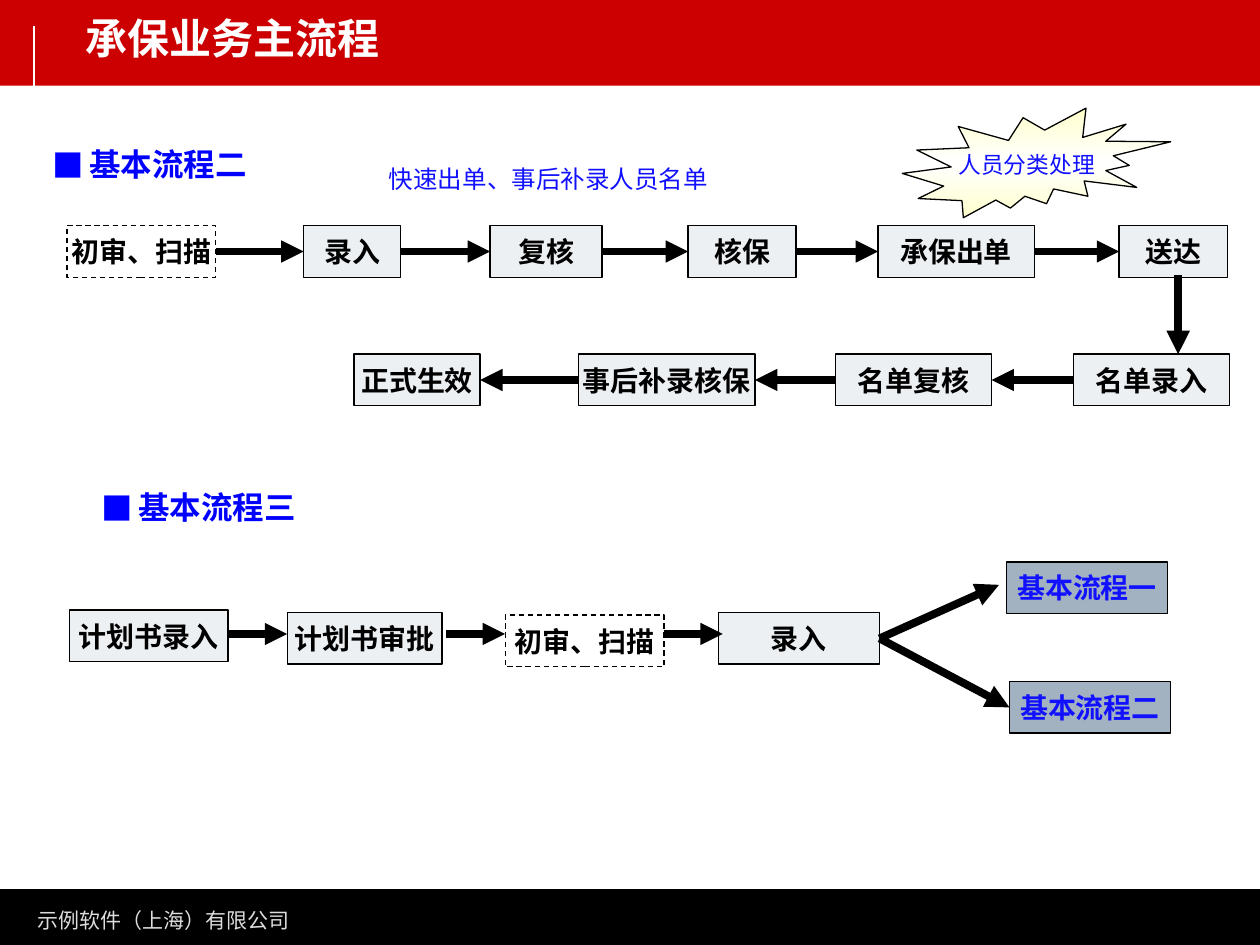
from copy import deepcopy

from lxml import etree
from pptx import Presentation
from pptx.dml.color import RGBColor
from pptx.enum.dml import MSO_LINE
from pptx.enum.shapes import MSO_CONNECTOR, MSO_SHAPE
from pptx.enum.text import MSO_ANCHOR, MSO_AUTO_SIZE, PP_ALIGN
from pptx.oxml.ns import qn
from pptx.util import Cm, Pt

RECT, BURST = MSO_SHAPE.RECTANGLE, MSO_SHAPE.EXPLOSION2
STRAIGHT, DASH = MSO_CONNECTOR.STRAIGHT, MSO_LINE.DASH
LEFT, CENTER = PP_ALIGN.LEFT, PP_ALIGN.CENTER
MIDDLE, NO_FIT = MSO_ANCHOR.MIDDLE, MSO_AUTO_SIZE.NONE
BOTTOM_SIDE, LEFT_SIDE, RIGHT_SIDE = 2, 1, 3
CJK, SANS = "Noto Sans CJK SC", "DejaVu Sans"
BLACK, WHITE, BLUE, LINK_BLUE = "000000", "FFFFFF", "0000FF", "1111FF"
STEP_FILL, LINK_FILL = "EDF0F3", "A3B2C1"
STEP_HEIGHT = 1.04
STEP_FONT = {"name": CJK, "size": Pt(16), "bold": True}


def rgb(value):
    return RGBColor.from_string(value)


def write(shape, text, font, color, align=LEFT, wrap=False):
    frame = shape.text_frame
    settings = {"word_wrap": wrap, "auto_size": NO_FIT, "vertical_anchor": MIDDLE}
    for name, value in settings.items():
        setattr(frame, name, value)
    paragraph = frame.paragraphs[0]
    paragraph.alignment = align
    paragraph.space_before = Pt(0)
    run = paragraph.add_run()
    run.text = text
    for name, value in font.items():
        setattr(run.font, name, value)
    run.font.color.rgb = rgb(color)
    # East Asian text takes its own typeface element
    for latin in list(shape.element.iter(qn("a:latin"))):
        east_asian = etree.Element(qn("a:ea"), typeface=font["name"])
        latin.addnext(east_asian)


def place(shape, box):
    for name, value in zip(("left", "top", "width", "height"), box):
        setattr(shape, name, Cm(value))


def panel(slide, box, fill=None, line=BLACK, kind=RECT):
    shape = slide.shapes.add_shape(kind, *map(Cm, box))
    shape.shadow.inherit = False
    if fill:
        shape.fill.solid()
        shape.fill.fore_color.rgb = rgb(fill)
    else:
        shape.fill.background()
    shape.line.color.rgb = rgb(line)
    shape.line.width = Pt(0.75)
    return shape


def step(slide, left, top, width, text, fill=STEP_FILL, color=BLACK):
    box = panel(slide, (left, top, width, STEP_HEIGHT), fill)
    if fill is None:
        box.line.dash_style = DASH
    write(box, text, STEP_FONT, color, CENTER)
    return box


def rule(slide, start, end, color, width):
    line = slide.shapes.add_connector(STRAIGHT, *map(Cm, start + end))
    line.line.color.rgb = rgb(color)
    line.line.width = Pt(width)
    etree.SubElement(line.element.spPr, qn("a:effectLst"))
    return line


def arrow(slide, start=(0, 0), end=(0, 0), source=None, target=None, width=4.25):
    """Arrow between points; source and target are (box, side) pairs to join."""
    line = rule(slide, start, end, BLACK, width)
    outline = line.element.spPr.find(qn("a:ln"))
    etree.SubElement(outline, qn("a:tailEnd"), type="triangle")
    if source:
        line.begin_connect(*source)
    if target:
        line.end_connect(*target)


def frame_bands(slide, width, height):
    # Red header with its white tick
    header_height, footer_height = 1.73, 1.12
    panel(slide, (0, 0, width, header_height), "CC0000", "CC0000").line.fill.background()
    rule(slide, (0.69, 0.53), (0.69, header_height), WHITE, 1.5)
    # Black footer with the company name
    footer_top = height - footer_height
    panel(slide, (0, footer_top, width, footer_height), BLACK)
    company = slide.shapes.add_textbox(*map(Cm, (0.51, footer_top + 0.23, 5.59, 0.76)))
    write(company, "示例软件（上海）有限公司", {"name": SANS, "size": Pt(12)}, "DDDDDD")


def page_title(slide, box):
    title = slide.shapes.title
    place(title, box)
    write(title, "承保业务主流程", {"name": SANS, "size": Pt(24), "bold": True}, WHITE, wrap=True)
    # Bring the title in front of the header band
    title.element.getparent().append(title.element)


def heading(placeholder, box, text, align=LEFT):
    place(placeholder, box)
    paragraph = placeholder.text_frame.paragraphs[0]
    paragraph.space_before = Pt(0)
    indent = Cm(0.74)
    for properties in placeholder.element.iter(qn("a:pPr")):
        properties.set("marL", str(indent))
        properties.set("indent", str(-indent))
        bullet_color = etree.SubElement(properties, qn("a:buClr"))
        etree.SubElement(bullet_color, qn("a:srgbClr"), val=BLUE)
        etree.SubElement(properties, qn("a:buFont"), typeface=CJK)
        etree.SubElement(properties, qn("a:buChar"), char="■")
    write(placeholder, text, {"name": CJK, "size": Pt(18), "bold": True}, BLUE, align, True)


def remarks(slide, left, top):
    note = slide.shapes.add_textbox(*map(Cm, (left, top + 0.82, 8.2, 1.19)))
    write(note, "快速出单、事后补录人员名单", {"name": CJK, "size": Pt(14)}, LINK_BLUE)
    # Starburst with a pale yellow to white to pale yellow gradient
    burst = panel(slide, (left + 10.6, top, 5.41, 2.21), kind=BURST)
    burst.fill.gradient()
    burst.fill.gradient_angle = 90
    first_stop = next(burst.element.iter(qn("a:gs")))
    first_stop.addnext(deepcopy(first_stop))
    stops = ((0, "FFFFCC"), (0.5, WHITE), (1, "FFFFCC"))
    for stop, (position, color) in zip(burst.fill.gradient_stops, stops):
        stop.position = position
        stop.color.rgb = rgb(color)
    write(burst, "人员分类处理", {"name": CJK, "size": Pt(13)}, LINK_BLUE, CENTER)


def flow_two(slide, left, top):
    row_gap = 2.59
    issue_steps = (("初审、扫描", 0, 3), ("录入", 4.77, 1.96), ("复核", 8.53, 2.26),
                   ("核保", 12.52, 2.18), ("承保出单", 16.35, 3.15), ("送达", 21.21, 2.18))
    list_steps = (("名单录入", 20.29, 3.15), ("名单复核", 15.49, 3.15),
                  ("事后补录核保", 10.31, 3.56), ("正式生效", 5.79, 2.54))
    # Upper row runs to the right, lower row back to the left
    rows = ((issue_steps, top, RIGHT_SIDE, LEFT_SIDE),
            (list_steps, top + row_gap, LEFT_SIDE, RIGHT_SIDE))
    for steps, row_top, exit_side, entry_side in rows:
        boxes = [step(slide, left + x, row_top, width, text,
                      None if text == "初审、扫描" else STEP_FILL)
                 for text, x, width in steps]
        for before, after in zip(boxes, boxes[1:]):
            arrow(slide, source=(before, exit_side), target=(after, entry_side))
    # Turn from the upper row to the lower row
    turn = left + 22.4
    arrow(slide, (turn, top + 0.99), (turn, top + row_gap), width=4.5)


def flow_three(slide, left, top):
    step(slide, left, top + 0.97, 3.2, "计划书录入")
    step(slide, left + 4.39, top + 1.02, 3.12, "计划书审批")
    step(slide, left + 8.79, top + 1.07, 3.2, "初审、扫描", None)
    entry = step(slide, left + 13.08, top + 1.02, 3.25, "录入")
    for index in range(3):
        start = left + 3.2 + 4.39 * index
        arrow(slide, (start, top + 1.45), (start + 1.19, top + 1.45))
    # Fork to the two other flows
    step(slide, left + 18.89, top, 3.25, "基本流程一", LINK_FILL, LINK_BLUE)
    second = step(slide, left + 18.95, top + 2.41, 3.25, "基本流程二", LINK_FILL, LINK_BLUE)
    exit_point = (entry, RIGHT_SIDE)
    arrow(slide, end=(left + 18.74, top + 0.46), source=exit_point, width=4.5)
    arrow(slide, source=exit_point, target=(second, LEFT_SIDE), width=4.5)


def main():
    width, height = 25.4, 19.05
    deck = Presentation()
    deck.slide_width, deck.slide_height = Cm(width), Cm(height)
    slide = deck.slides.add_slide(deck.slide_layouts.get_by_name("Two Content"))
    frame_bands(slide, width, height)
    page_title(slide, (1.47, 0.13, 22.86, 1.27))
    first_heading, second_heading = slide.placeholders[1], slide.placeholders[2]
    heading(first_heading, (0.81, 2.79, 6.43, 1.02), "基本流程二")
    heading(second_heading, (0.79, 9.7, 6.43, 1.02), "基本流程三", CENTER)
    remarks(slide, 7.59, 2.18)
    flow_two(slide, 1.35, 4.55)
    flow_three(slide, 1.4, 11.33)
    deck.save("out.pptx")


if __name__ == "__main__":
    main()
